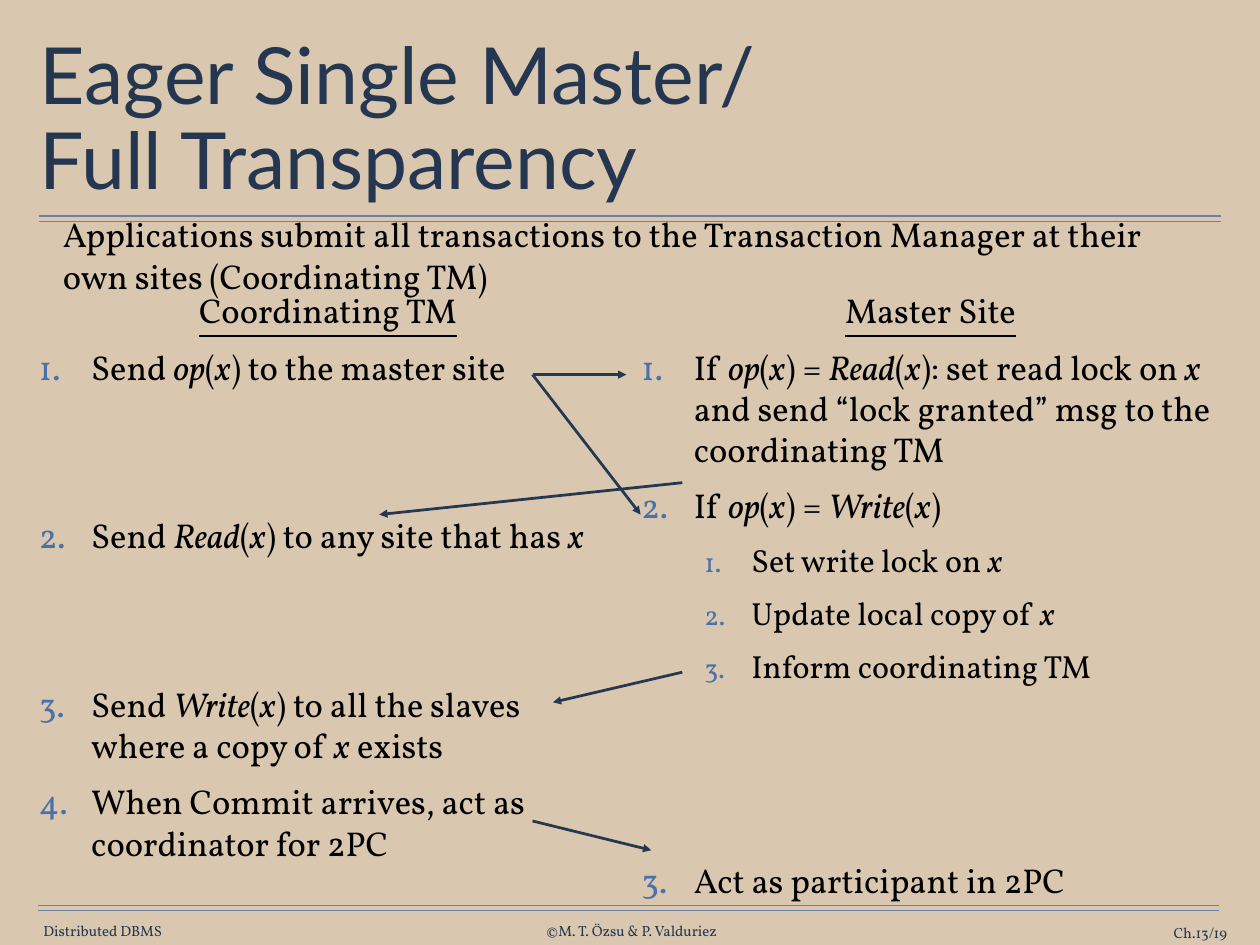
from lxml.etree import SubElement
from pptx import Presentation
from pptx.dml.color import RGBColor
from pptx.enum.shapes import MSO_CONNECTOR as Connector
from pptx.enum.text import MSO_ANCHOR as Anchor, PP_ALIGN as Align
from pptx.oxml.ns import qn
from pptx.util import Inches, Pt

COLORS = {
    "background": "D9C8AF", "rule": "6682AA", "title": "253750",
    "navy": "263750", "text": "000000", "number": "4A71A9",
}
BODY_FONT, TITLE_FONT = "Vollkorn", "Lato"
GAP = 12  # points before each paragraph
LINE_28, LINE_26 = 33.7, 31.2  # line heights in points
SKIP_TWO = GAP + 2 * (LINE_28 + GAP)
SKIP_THREE = GAP + 3 * (LINE_26 + GAP)

# Indent, hanging part, text size and number size (percent) by level
LEVELS = [
    {"left": 0.59, "hang": 0.59, "size": 28, "number": 100},
    {"left": 1.24, "hang": 0.53, "size": 26, "number": 85},
]

# Steps: level, text with *italic* parts, space before
COORDINATOR_STEPS = [
    (0, "Send *op*(*x*) to the master site", GAP),
    (0, "Send *Read*(*x*) to any site that has *x*", SKIP_TWO),
    (0, "Send *Write*(*x*) to all the slaves where a copy of *x* exists", SKIP_TWO),
    (0, "When Commit arrives, act as coordinator for 2PC", GAP),
]
MASTER_STEPS = [
    (0, "If *op*(*x*) = *Read*(*x*): set read lock on *x* and send "
        "“lock granted” msg to the coordinating TM", GAP),
    (0, "If *op*(*x*) = *Write*(*x*)", GAP),
    (1, "Set write lock on *x*", GAP),
    (1, "Update local copy of *x*", GAP),
    (1, "Inform coordinating TM", GAP),
    (0, "Act as participant in 2PC", SKIP_THREE),
]
MESSAGES = [
    ((7.7, 5.45), (4.28, 5.81)),
    ((7.7, 7.59), (6.24, 7.93)),
    ((6.01, 9.27), (7.35, 9.6)),
    ((6.01, 4.23), (7.07, 4.23)),
    ((6.01, 4.23), (7.23, 5.81)),
]


def set_attributes(target, values):
    for name, value in values.items():
        setattr(target, name, value)


def style_run(run, size, color="text", **values):
    set_attributes(run.font, {"name": BODY_FONT, "size": Pt(size), **values})
    run.font.color.rgb = RGBColor.from_string(COLORS[color])


def add_text_frame(slide, box, inset_x, inset_y, **values):
    frame = slide.shapes.add_textbox(*map(Inches, box)).text_frame
    set_attributes(frame, {
        "word_wrap": True,
        "margin_left": Inches(inset_x), "margin_right": Inches(inset_x),
        "margin_top": Inches(inset_y), "margin_bottom": Inches(inset_y),
        **values,
    })
    return frame


def add_line(slide, start, end, color, width, arrow=False):
    line = slide.shapes.add_connector(
        Connector.STRAIGHT, *map(Inches, (*start, *end)))
    line.line.color.rgb = RGBColor.from_string(COLORS[color])
    line.line.width = Pt(width)
    properties = line._element.spPr
    if arrow:
        SubElement(properties.find(qn("a:ln")), qn("a:tailEnd"), type="triangle")
    SubElement(properties, qn("a:effectLst"))


def add_double_rule(slide, left, top, width):
    for y in (top, top + 0.06):
        add_line(slide, (left, y), (left + width, y), "rule", 1)


def add_title(slide, box):
    frame = add_text_frame(slide, box, 0.06, 0.06, vertical_anchor=Anchor.MIDDLE)
    paragraph = frame.paragraphs[0]
    paragraph.text = "Eager Single Master/\vFull Transparency"
    paragraph.line_spacing = 0.9
    for run in paragraph.runs:
        style_run(run, 64, "title", name=TITLE_FONT)


def add_introduction(slide, box):
    paragraph = add_text_frame(slide, box, 0.14, 0.07).paragraphs[0]
    paragraph.space_before = Pt(3)
    run = paragraph.add_run()
    run.text = ("Applications submit all transactions to the Transaction "
                "Manager at their own sites (Coordinating TM)")
    style_run(run, 28)


def number_paragraph(paragraph, level):
    form = LEVELS[level]
    properties = paragraph._p.get_or_add_pPr()
    properties.set("marL", str(Inches(form["left"])))
    properties.set("indent", str(-Inches(form["hang"])))
    color = SubElement(properties, qn("a:buClr"))
    SubElement(color, qn("a:srgbClr"), val=COLORS["number"])
    SubElement(properties, qn("a:buSzPct"), val=str(form["number"] * 1000))
    SubElement(properties, qn("a:buAutoNum"), type="arabicPeriod")


def add_step_column(slide, box, heading, steps):
    frame = add_text_frame(slide, box, 0.06, 0.06)
    # Underlined heading
    paragraph = frame.paragraphs[0]
    set_attributes(paragraph, {"alignment": Align.CENTER, "space_before": Pt(GAP)})
    run = paragraph.add_run()
    run.text = heading
    style_run(run, 28, underline=True)
    # Numbered steps
    for level, text, space in steps:
        paragraph = frame.add_paragraph()
        set_attributes(paragraph, {"level": level, "space_before": Pt(space)})
        number_paragraph(paragraph, level)
        for index, part in enumerate(text.split("*")):
            if part:
                run = paragraph.add_run()
                run.text = part
                style_run(run, LEVELS[level]["size"], italic=index % 2 == 1)


def add_footer(slide, left, top, width):
    add_double_rule(slide, left, top, width)
    entries = [
        ("Distributed DBMS", 0.04, 0.19, 1.38, Align.CENTER),
        ("©M. T. Özsu & P. Valduriez", 5.68, 0.19, 2.04, Align.CENTER),
        ("Ch.13/19", 11.88, 0.21, 1.54, Align.RIGHT),
    ]
    for text, x, y, entry_width, alignment in entries:
        frame = add_text_frame(
            slide, (left + x, top + y, entry_width, 0.2), 0, 0,
            vertical_anchor=Anchor.MIDDLE, word_wrap=alignment == Align.RIGHT)
        paragraph = frame.paragraphs[0]
        paragraph.alignment = alignment
        run = paragraph.add_run()
        run.text = text
        style_run(run, 12, "navy")


def add_messages(slide):
    for start, end in MESSAGES:
        add_line(slide, start, end, "navy", 2.25, arrow=True)


def main():
    presentation = Presentation()
    set_attributes(presentation, {
        "slide_width": Inches(14.22), "slide_height": Inches(10.67)})
    slide = presentation.slides.add_slide(presentation.slide_layouts[6])
    fill = slide.background.fill
    fill.solid()
    fill.fore_color.rgb = RGBColor.from_string(COLORS["background"])

    add_double_rule(slide, 0.44, 2.44, 13.34)
    add_footer(slide, 0.43, 10.22, 13.33)
    add_title(slide, (0.39, 0.49, 13.44, 1.76))
    columns = [("Coordinating TM", COORDINATOR_STEPS), ("Master Site", MASTER_STEPS)]
    for index, (heading, steps) in enumerate(columns):
        add_step_column(slide, (0.38 + 6.8 * index, 3.21, 6.64, 7.4), heading, steps)
    add_introduction(slide, (0.57, 2.34, 13.15, 1.18))
    add_messages(slide)
    presentation.save("out.pptx")


if __name__ == "__main__":
    main()
